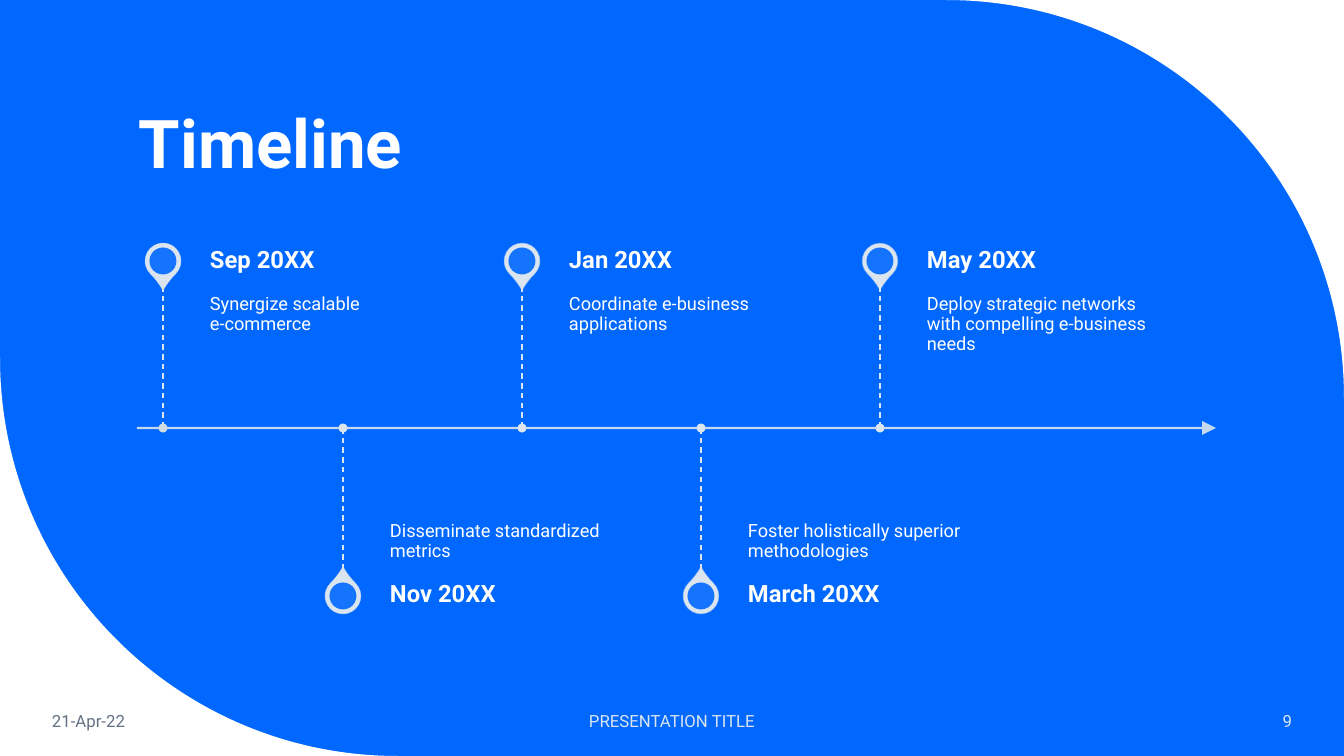
from lxml import etree
from pptx import Presentation
from pptx.dml.color import RGBColor
from pptx.enum.dml import MSO_LINE
from pptx.enum.shapes import MSO_CONNECTOR, MSO_SHAPE
from pptx.enum.text import MSO_ANCHOR, PP_ALIGN
from pptx.oxml.ns import qn
from pptx.util import Pt

PX = 914400 / 100.8
TOP, MIDDLE, BOTTOM = MSO_ANCHOR.TOP, MSO_ANCHOR.MIDDLE, MSO_ANCHOR.BOTTOM
LEFT, CENTER, RIGHT = PP_ALIGN.LEFT, PP_ALIGN.CENTER, PP_ALIGN.RIGHT
STRAIGHT, DASH = MSO_CONNECTOR.STRAIGHT, MSO_LINE.DASH
OVAL, TEARDROP = MSO_SHAPE.OVAL, MSO_SHAPE.TEAR

BLUE, WHITE, PALE, GREY = "0068FF", "FFFFFF", "DAE5EF", "637183"
FIRST_DOT = "D0DBE4"
WIDTH, HEIGHT, RADIUS, HANDLE = 1344, 756, 398, 178
AXIS_Y = 428

MILESTONES = [
    (163, "Sep 20XX", "Synergize scalable\ve-commerce"),
    (343, "Nov 20XX", "Disseminate standardized metrics"),
    (522, "Jan 20XX", "Coordinate e-business applications"),
    (701, "March 20XX", "Foster holistically superior methodologies"),
    (880, "May 20XX", "Deploy strategic networks with compelling e-business needs"),
]
CORNERS = [
    (WIDTH - RADIUS, 0, [(RADIUS, 0), (0, 0), (RADIUS, RADIUS)],
     [(RADIUS - HANDLE, 0), (RADIUS, HANDLE)]),
    (0, HEIGHT - RADIUS, [(0, RADIUS), (RADIUS, RADIUS), (0, 0)],
     [(HANDLE, RADIUS), (0, RADIUS - HANDLE)]),
]
FOOTERS = [
    (42, 187, "21-Apr-22", GREY, LEFT),
    (445, 454, "PRESENTATION TITLE", PALE, CENTER),
    (1120, 182, "9", PALE, RIGHT),
]


def paint(fill, colour, opacity=100):
    fill.solid()
    fill.fore_color.rgb = RGBColor.from_string(colour)
    if opacity < 100:
        solid = fill._xPr.find(qn("a:solidFill"))
        etree.SubElement(solid[0], qn("a:alpha"), val=str(opacity * 1000))


def add_text(place, text, size, colour=WHITE, bold=False, anchor=MIDDLE,
             insets=(10, 5, 10, 5), align=LEFT, spacing=0.9):
    box = page.shapes.add_textbox(*(round(length * PX) for length in place))
    frame = box.text_frame
    frame.word_wrap = True
    frame.vertical_anchor = anchor
    (frame.margin_left, frame.margin_top,
     frame.margin_right, frame.margin_bottom) = (round(inset * PX) for inset in insets)
    para = frame.paragraphs[0]
    para.text = text
    para.alignment = align
    para.line_spacing = spacing
    para.font.name = "Roboto"
    para.font.size = Pt(size)
    para.font.bold = bold
    para.font.color.rgb = RGBColor.from_string(colour)


deck = Presentation()
deck.slide_width = round(WIDTH * PX)
deck.slide_height = round(HEIGHT * PX)
page = deck.slides.add_slide(deck.slide_layouts[6])
paint(page.background.fill, BLUE)

for left, top, points, handles in CORNERS:
    outline = page.shapes.build_freeform(*points[0], scale=PX)
    outline.add_line_segments(points[1:], close=True)
    corner = outline.convert_to_shape(round(left * PX), round(top * PX))
    corner.shadow.inherit = False
    paint(corner.fill, WHITE)
    corner.line.fill.background()
    curve = list(corner._element.iter(qn("a:lnTo")))[1]
    curve.tag = qn("a:cubicBezTo")
    for position, (x, y) in enumerate(handles):
        curve.insert(position, etree.Element(qn("a:pt"), x=str(x), y=str(y)))

add_text((129, 42, 1078, 146), "Timeline", 48, bold=True, anchor=BOTTOM)

lines = [(137, AXIS_Y, 1216, AXIS_Y)]
for index, (x, date, detail) in enumerate(MILESTONES):
    lines.append((x, AXIS_Y, x, 570) if index % 2 else (x, 286, x, AXIS_Y))
for ends in lines:
    is_axis = ends[1] == ends[3]
    line = page.shapes.add_connector(STRAIGHT, *(round(length * PX) for length in ends))
    paint(line.line.fill, PALE, 90 if is_axis else 100)
    line.line.width = Pt(1.5 if is_axis else 1)
    if is_axis:
        etree.SubElement(line.line.fill._xPr, qn("a:tailEnd"),
                         type="triangle", w="lg", len="lg")
    else:
        line.line.dash_style = DASH
    etree.SubElement(line._element.spPr, qn("a:effectLst"))

for index, (x, date, detail) in enumerate(MILESTONES):
    below = index % 2 == 1
    pin_y = 596 if below else 261
    for kind, y, size, colour, opacity in (
        (TEARDROP, pin_y, 35, PALE, 100),
        (OVAL, pin_y, 27, BLUE, 90),
        (OVAL, AXIS_Y, 9, PALE if index else FIRST_DOT, 100),
    ):
        marker = page.shapes.add_shape(
            kind, round((x - size / 2) * PX), round((y - size / 2) * PX),
            round(size * PX), round(size * PX))
        marker.shadow.inherit = False
        paint(marker.fill, colour, opacity)
        if kind == TEARDROP:
            marker.adjustments[0] = 1.15
            marker.rotation = 315 if below else 135
            paint(marker.line.fill, PALE, 90 - 10 * index)
            marker.line.width = Pt(1)
        else:
            marker.line.fill.background()

    add_text((x + 47, AXIS_Y if below else 286, 255, 142), detail, 13,
             anchor=BOTTOM if below else TOP,
             insets=(0, 14, 0, 9) if below else (0, 9, 9, 14))
    add_text((x + 47, 570 if below else 236, 255, 50), date, 17,
             bold=True, insets=(0, 0, 12, 0))

for left, width, text, colour, align in FOOTERS:
    add_text((left, 701, width, 40), text, 12, colour, align=align, spacing=1.0)

deck.save("out.pptx")
